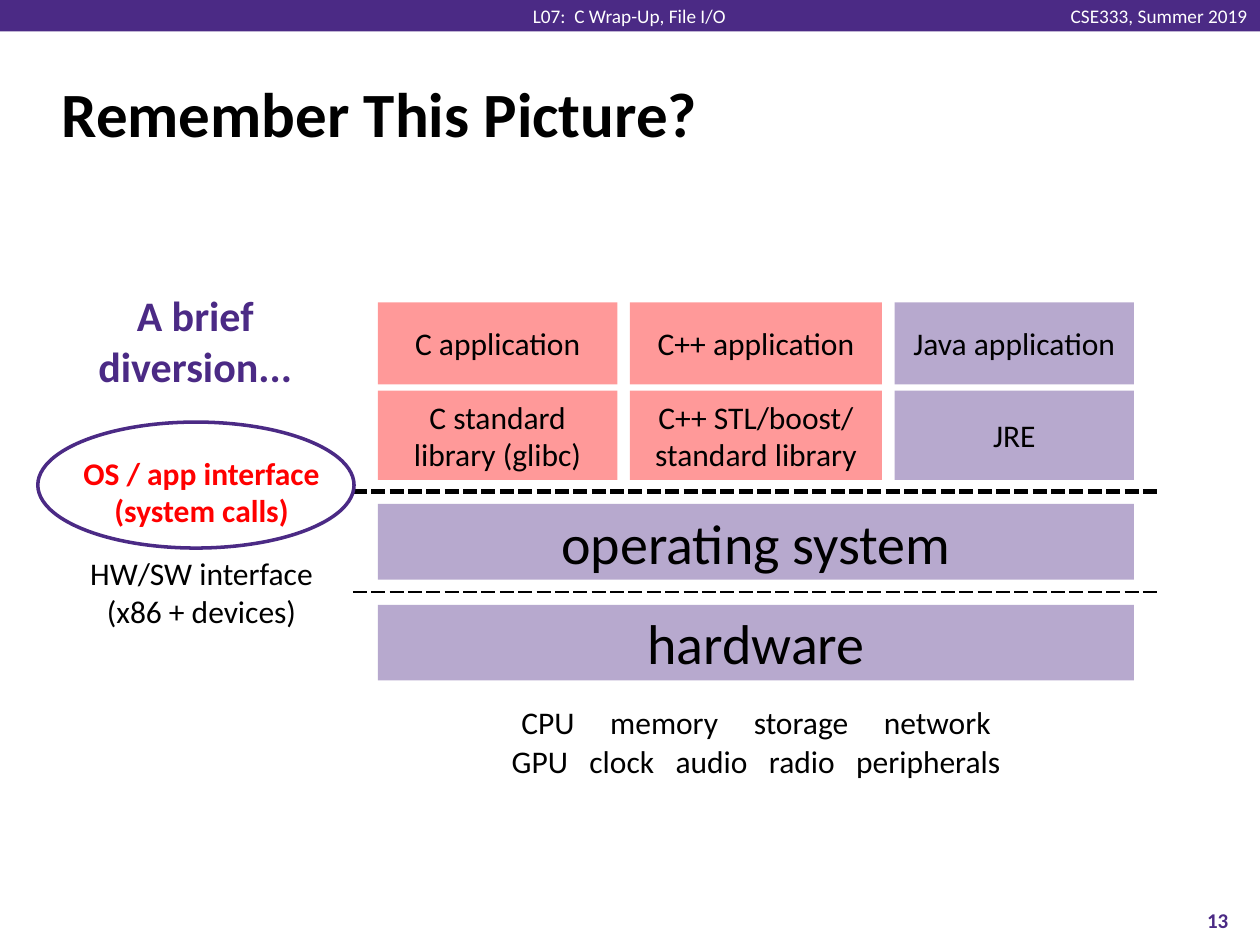
from dataclasses import dataclass
from lxml.etree import SubElement
from pptx import Presentation
from pptx.dml.color import RGBColor
from pptx.enum.shapes import MSO_SHAPE
from pptx.enum.text import MSO_ANCHOR, PP_ALIGN
from pptx.oxml.ns import qn
from pptx.util import Inches, Pt

COLORS = {"purple": "4B2A85", "red": "FF0000", "black": "000000", "white": "FFFFFF"}
FONT = "Calibri"
SPACE_WIDTH = 0.226


@dataclass
class Label:
    text: str
    left: float
    top: float
    width: float
    height: float
    size: float = 18
    color: str = "black"
    bold: bool = False
    align: PP_ALIGN = PP_ALIGN.CENTER
    anchor: MSO_ANCHOR = MSO_ANCHOR.TOP
    inset: float = 0.05
    wrap: bool = True


@dataclass
class Block:
    text: str
    left: float
    top: float
    width: float
    height: float
    color: str = "purple"
    size: float = 18
    side_inset: float = 0.1


def rgb(name: str) -> RGBColor:
    return RGBColor.from_string(COLORS[name])


def style_span(span, size: float, color: str, bold: bool = False) -> None:
    span.font.name = FONT
    span.font.size = Pt(size)
    span.font.bold = bold
    span.font.color.rgb = rgb(color)


def style_frame(frame, size: float, color: str, bold: bool = False,
                align: PP_ALIGN = PP_ALIGN.CENTER) -> None:
    for para in frame.paragraphs:
        para.alignment = align
        for span in para.runs:
            style_span(span, size, color, bold)


def add_label(page, label: Label) -> None:
    box = page.shapes.add_textbox(Inches(label.left), Inches(label.top),
                                  Inches(label.width), Inches(label.height))
    frame = box.text_frame
    frame.word_wrap = label.wrap
    frame.vertical_anchor = label.anchor
    frame.margin_top = frame.margin_bottom = Inches(label.inset)
    frame.text = label.text
    style_frame(frame, label.size, label.color, label.bold, label.align)


def add_plain_shape(page, kind: MSO_SHAPE, left: float, top: float,
                    width: float, height: float):
    shape = page.shapes.add_shape(kind, Inches(left), Inches(top),
                                  Inches(width), Inches(height))
    shape.shadow.inherit = False
    return shape


def add_bar(page, left: float, top: float, width: float, height: float, color: str):
    bar = add_plain_shape(page, MSO_SHAPE.RECTANGLE, left, top, width, height)
    bar.fill.solid()
    bar.fill.fore_color.rgb = rgb(color)
    bar.line.fill.background()
    return bar


def add_block(page, block: Block) -> None:
    box = add_bar(page, block.left, block.top, block.width, block.height, block.color)
    tint = box.fill._xPr.find(qn("a:solidFill")).find(qn("a:srgbClr"))
    SubElement(tint, qn("a:alpha"), val="40000")
    frame = box.text_frame
    frame.word_wrap = True
    frame.vertical_anchor = MSO_ANCHOR.MIDDLE
    frame.margin_left = frame.margin_right = Inches(block.side_inset)
    frame.text = block.text
    style_frame(frame, block.size, "black")


def set_borders(cell, top: float, bottom: float) -> None:
    properties = cell._tc.get_or_add_tcPr()
    widths = {"a:lnL": 0, "a:lnR": 0, "a:lnT": top, "a:lnB": bottom}
    for tag, width in widths.items():
        line = SubElement(properties, qn(tag), w=str(Pt(width)))
        if width:
            paint = SubElement(line, qn("a:solidFill"))
            SubElement(paint, qn("a:srgbClr"), val=COLORS["black"])
            SubElement(line, qn("a:prstDash"), val="dash")
        else:
            SubElement(line, qn("a:noFill"))


def fill_spaced_line(para, words: list[str], gap: int, size: float) -> None:
    para.alignment = PP_ALIGN.CENTER
    extra = round((gap - 1) * SPACE_WIDTH * size * 100)
    for index, word in enumerate(words):
        if index:
            space = para.add_run()
            space.text = " "
            style_span(space, size, "black")
            space.font._element.set("spc", str(extra))
        span = para.add_run()
        span.text = word
        style_span(span, size, "black")


def add_interface_table(page) -> None:
    table = page.shapes.add_table(3, 1, Inches(2.8), Inches(3.9),
                                  Inches(6.4), Inches(2.4)).table
    table.first_row = False
    table.horz_banding = False
    for row, (top, bottom) in enumerate([(3, 1), (1, 0), (0, 0)]):
        cell = table.cell(row, 0)
        set_borders(cell, top, bottom)
        cell.fill.background()
        cell.vertical_anchor = MSO_ANCHOR.MIDDLE
    frame = table.cell(2, 0).text_frame
    fill_spaced_line(frame.paragraphs[0], ["CPU", "memory", "storage", "network"], 5, 18)
    fill_spaced_line(frame.add_paragraph(),
                     ["GPU", "clock", "audio", "radio", "peripherals"], 3, 18)


HEADINGS = [
    Label("CSE333, Summer 2019", 8.38, 0.03, 1.62, 0.19, 11, "white",
          align=PP_ALIGN.RIGHT, anchor=MSO_ANCHOR.MIDDLE, inset=0, wrap=False),
    Label("L07:  C Wrap-Up, File I/O", 4.12, 0.03, 1.75, 0.19, 11, "white",
          anchor=MSO_ANCHOR.MIDDLE, inset=0, wrap=False),
    Label("Remember This Picture?", 0.39, 0.48, 9.19, 0.83, 36, bold=True,
          align=PP_ALIGN.LEFT, anchor=MSO_ANCHOR.MIDDLE),
    Label("13", 9.33, 7.1, 0.67, 0.4, 12, "purple", True, anchor=MSO_ANCHOR.MIDDLE),
]
SIDE_NOTES = [
    Label("HW/SW interface\n(x86 + devices)", 0.4, 4.35, 2.4, 0.71),
    Label("OS / app interface\n(system calls)", 0.4, 3.55, 2.4, 0.71, 18, "red", True),
    Label("A brief\ndiversion...", 0.42, 2.25, 2.26, 0.91, 24, "purple", True),
]
STACKS = [
    (3, 1.9, "red", [("C application", 0.1), ("C standard library (glibc)", 0.1)]),
    (5, 2, "red", [("C++ application", 0.1), ("C++ STL/boost/ standard library", 0)]),
    (7.1, 1.9, "purple", [("Java application", 0), ("JRE", 0.1)]),
]
LAYERS = [(2.4, 0.65), (3.1, 0.71)]

deck = Presentation()
deck.slide_width, deck.slide_height = Inches(10), Inches(7.5)
page = deck.slides.add_slide(deck.slide_layouts[6])

add_bar(page, 0, 0, 10, 0.25, "purple")
for heading in HEADINGS:
    add_label(page, heading)
for left, width, color, entries in STACKS:
    for (text, side_inset), (top, height) in zip(entries, LAYERS):
        add_block(page, Block(text, left, top, width, height, color, 18, side_inset))
add_interface_table(page)
for row, name in enumerate(["operating system", "hardware"]):
    add_block(page, Block(name, 3, 4 + 0.8 * row, 6, 0.6, size=32))
for note in SIDE_NOTES:
    add_label(page, note)
ring = add_plain_shape(page, MSO_SHAPE.OVAL, 0.3, 3.35, 2.51, 1)
ring.fill.background()
ring.line.color.rgb = rgb("purple")
ring.line.width = Pt(2)

deck.save("out.pptx")
